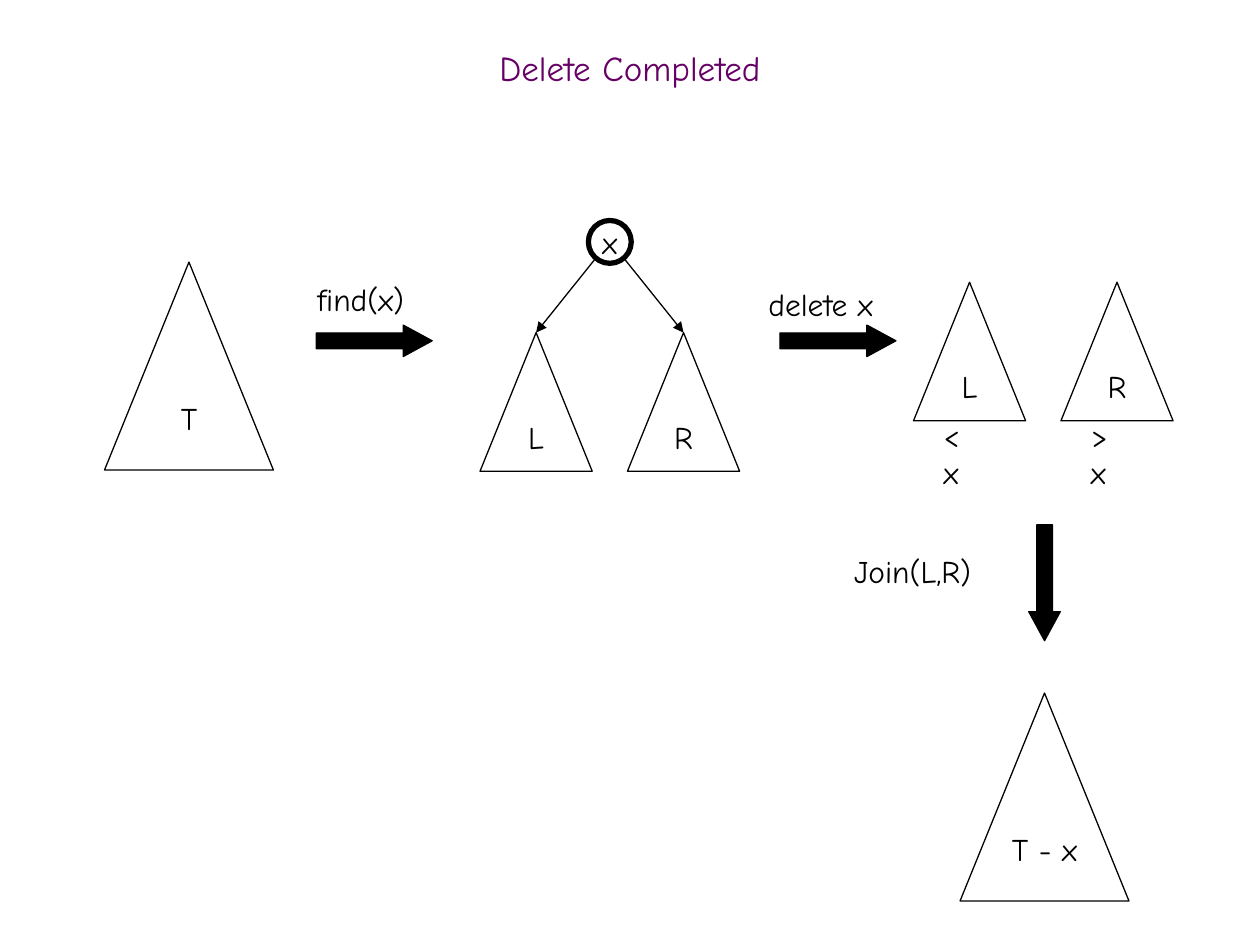
from dataclasses import dataclass

from lxml import etree
from pptx import Presentation
from pptx import util as u
from pptx.dml.color import RGBColor
from pptx.enum import shapes, text
from pptx.oxml.ns import qn

PX_PER_INCH = 100
SCALE = 914400 // PX_PER_INCH


@dataclass(frozen=True)
class Theme:
    font: str = "Comic Neue"
    title_color: RGBColor = RGBColor(0x66, 0x00, 0x66)
    ink: RGBColor = RGBColor(0, 0, 0)
    title_size: int = 20
    body_size: int = 18
    thin: float = 0.75
    thick: float = 3


@dataclass(frozen=True)
class Box:
    left: int
    top: int
    width: int
    height: int

    def emu(self) -> tuple:
        return tuple(v * SCALE for v in (self.left, self.top, self.width, self.height))


@dataclass(frozen=True)
class Tree:
    label: str
    left: int
    top: int
    width: int = 89
    height: int = 110


@dataclass(frozen=True)
class BlockArrow:
    left: int
    top: int
    rotation: int = 0


@dataclass(frozen=True)
class Label:
    wording: str
    box: Box
    narrow: bool = False


THEME = Theme()
WHOLE = (134, 165)
TREE_STEP = 117
SPLIT_LEFT, SPLIT_TOP = 381, 264
PARTS_LEFT, PARTS_TOP = 725, 224

WHOLE_TREES = [Tree("T", 83, 208, *WHOLE), Tree("T - x", 762, 550, *WHOLE)]
SPLIT_TREES = [Tree(s, SPLIT_LEFT + i * TREE_STEP, SPLIT_TOP) for i, s in enumerate("LR")]
PART_TREES = [Tree(s, PARTS_LEFT + i * TREE_STEP, PARTS_TOP) for i, s in enumerate("LR")]
FIND_ARROW = BlockArrow(251, 258)
STEP_ARROWS = [BlockArrow(619, 258), BlockArrow(783, 450, 90)]
FIND_LABEL = Label("find(x)", Box(242, 217, 102, 40))
LABELS = [
    Label("delete x", Box(600, 221, 118, 40)),
    Label("Join(L,R)", Box(668, 433, 126, 40)),
] + [
    Label(s, Box(739 + i * TREE_STEP, 325, 52, 40), True)
    for i, s in enumerate(("< x", "> x"))
]
ROOT = Box(467, 175, 34, 34)
EDGE_STARTS = [(472, 206), (496, 206)]


def style_text(tf, size: int, color: RGBColor, align) -> None:
    for p in tf.paragraphs:
        p.alignment = align
        for r in p.runs:
            r.font.name = THEME.font
            r.font.size = u.Pt(size)
            r.font.color.rgb = color


def add_outline(slide, kind, box: Box, wording: str, weight: float):
    sp = slide.shapes.add_shape(kind, *box.emu())
    sp.shadow.inherit = False
    sp.fill.background()
    sp.line.color.rgb = THEME.ink
    sp.line.width = u.Pt(weight)
    tf = sp.text_frame
    tf.text = wording
    tf.word_wrap = False
    tf.vertical_anchor = text.MSO_ANCHOR.MIDDLE
    style_text(tf, THEME.body_size, THEME.ink, text.PP_ALIGN.CENTER)
    return sp


def add_tree(slide, tree: Tree):
    box = Box(tree.left, tree.top, tree.width, tree.height)
    kind = shapes.MSO_SHAPE.ISOSCELES_TRIANGLE
    return add_outline(slide, kind, box, tree.label, THEME.thin)


def add_block_arrow(slide, arrow: BlockArrow):
    box = Box(arrow.left, arrow.top, 92, 25)
    sp = slide.shapes.add_shape(shapes.MSO_SHAPE.RIGHT_ARROW, *box.emu())
    sp.adjustments[1] = 0.92
    sp.rotation = arrow.rotation
    sp.shadow.inherit = False
    sp.fill.solid()
    sp.fill.fore_color.rgb = THEME.ink
    sp.line.color.rgb = THEME.ink
    sp.line.width = u.Pt(THEME.thin)
    return sp


def add_label(slide, label: Label):
    sp = slide.shapes.add_textbox(*label.box.emu())
    tf = sp.text_frame
    tf.text = label.wording
    tf.word_wrap = label.narrow
    tf.auto_size = text.MSO_AUTO_SIZE.SHAPE_TO_FIT_TEXT
    if label.narrow:
        tf.margin_right = 20 * SCALE
    style_text(tf, THEME.body_size, THEME.ink, text.PP_ALIGN.LEFT)
    return sp


def add_edge(slide, start: tuple, child) -> None:
    x, y = (v * SCALE for v in start)
    cn = slide.shapes.add_connector(shapes.MSO_CONNECTOR.STRAIGHT, x, y, x, y)
    cn.end_connect(child, 0)
    cn.line.color.rgb = THEME.ink
    cn.line.width = u.Pt(THEME.thin)
    etree.SubElement(cn.line._get_or_add_ln(), qn("a:tailEnd"), type="triangle")
    etree.SubElement(cn._element.spPr, qn("a:effectLst"))


def set_title(slide, wording: str) -> None:
    sp = slide.shapes.title
    sp.left, sp.top, sp.width, sp.height = Box(0, 33, 1000, 50).emu()
    tf = sp.text_frame
    tf.text = wording
    tf.auto_size = text.MSO_AUTO_SIZE.NONE
    tf.vertical_anchor = text.MSO_ANCHOR.MIDDLE
    tf.paragraphs[0].line_spacing = 0.7
    style_text(tf, THEME.title_size, THEME.title_color, text.PP_ALIGN.CENTER)


def main() -> None:
    prs = Presentation()
    prs.slide_width, prs.slide_height = 1000 * SCALE, 750 * SCALE
    s = prs.slides.add_slide(prs.slide_layouts[5])
    set_title(s, "Delete Completed")
    for tree in WHOLE_TREES:
        add_tree(s, tree)
    s.shapes.add_group_shape([add_block_arrow(s, FIND_ARROW), add_label(s, FIND_LABEL)])
    children = [add_tree(s, tree) for tree in SPLIT_TREES]
    add_outline(s, shapes.MSO_SHAPE.OVAL, ROOT, "x", THEME.thick)
    for start, child in zip(EDGE_STARTS, children):
        add_edge(s, start, child)
    s.shapes.add_group_shape([add_tree(s, tree) for tree in PART_TREES])
    for arrow in STEP_ARROWS:
        add_block_arrow(s, arrow)
    for label in LABELS:
        add_label(s, label)
    prs.save("out.pptx")


if __name__ == "__main__":
    main()
